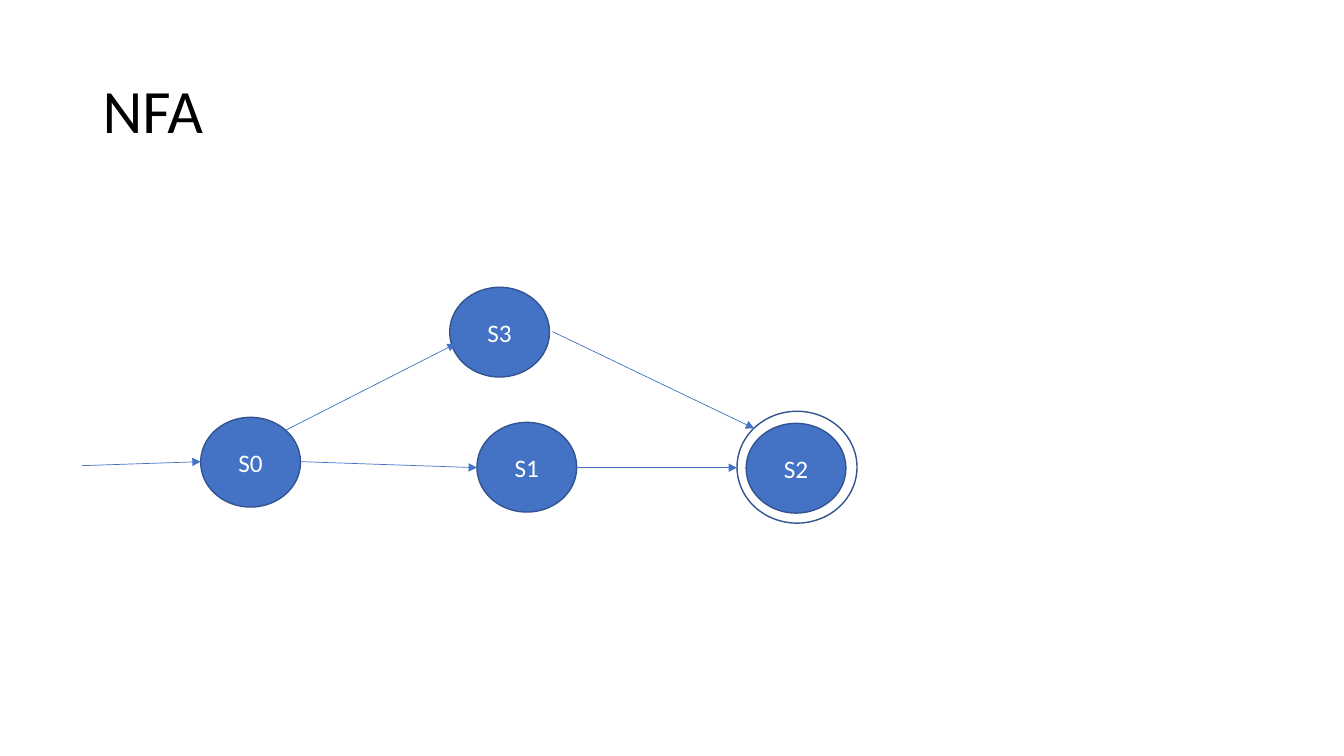
from lxml import etree
from pptx import Presentation
from pptx.dml.color import RGBColor
from pptx.enum.shapes import MSO_CONNECTOR, MSO_SHAPE
from pptx.enum.text import MSO_ANCHOR, PP_ALIGN
from pptx.oxml.ns import qn
from pptx.util import Inches, Pt

OVAL = MSO_SHAPE.OVAL
STRAIGHT = MSO_CONNECTOR.STRAIGHT
MIDDLE = MSO_ANCHOR.MIDDLE
CENTER = PP_ALIGN.CENTER

BLUE = RGBColor(0x44, 0x72, 0xC4)
DARK_BLUE = RGBColor(0x32, 0x54, 0x91)
WHITE = RGBColor(0xFF, 0xFF, 0xFF)
BLACK = RGBColor(0, 0, 0)
FONT = "Calibri"

# Content: states by left and top, transitions by start and end (inches)
TITLE = "NFA"
STATES = {"S0": (1.99, 4.14), "S1": (4.73, 4.19), "S2": (7.4, 4.2), "S3": (4.46, 2.85)}
STATE_SIZE = (0.99, 0.89)
ACCEPTING_RING = (7.31, 4.08, 1.19, 1.11)
TRANSITIONS = [
    ((0.81, 4.62), (1.99, 4.58)),  # start to S0
    ((2.98, 4.58), (4.73, 4.64)),  # S0 to S1
    ((5.71, 4.64), (7.31, 4.64)),  # S1 to S2
    ((5.48, 3.29), (7.48, 4.25)),  # S3 to S2
    ((2.83, 4.27), (4.52, 3.41)),  # S0 to S3
]


def write(shape, text, size, color):
    frame = shape.text_frame
    frame.word_wrap = True
    frame.vertical_anchor = MIDDLE
    para = frame.paragraphs[0]
    para.text = text
    para.font.name = FONT
    para.font.size = Pt(size)
    para.font.color.rgb = color
    return para


def add_ellipse(page, left, top, width, height):
    ellipse = page.shapes.add_shape(OVAL, *map(Inches, (left, top, width, height)))
    ellipse.shadow.inherit = False
    ellipse.line.color.rgb = DARK_BLUE
    ellipse.line.width = Pt(1)
    return ellipse


def add_state(page, name, position):
    state = add_ellipse(page, *position, *STATE_SIZE)
    state.fill.solid()
    state.fill.fore_color.rgb = BLUE
    write(state, name, 18, WHITE).alignment = CENTER


def add_transition(page, start, end):
    arrow = page.shapes.add_connector(STRAIGHT, *map(Inches, start + end))
    arrow.line.color.rgb = BLUE
    arrow.line.width = Pt(0.5)
    etree.SubElement(arrow.line._get_or_add_ln(), qn("a:tailEnd"), type="triangle")
    etree.SubElement(arrow._element.spPr, qn("a:effectLst"))


def main():
    deck = Presentation()
    deck.slide_width = Inches(13.33)
    deck.slide_height = Inches(7.5)
    page = deck.slides.add_slide(deck.slide_layouts[6])

    # Title
    box = page.shapes.add_textbox(*map(Inches, (0.92, 0.4, 11.5, 1.45)))
    write(box, TITLE, 44, BLACK).line_spacing = 0.9

    # States
    add_ellipse(page, *ACCEPTING_RING).fill.background()
    for name, position in STATES.items():
        add_state(page, name, position)

    # Transitions
    for start, end in TRANSITIONS:
        add_transition(page, start, end)

    deck.save("out.pptx")


if __name__ == "__main__":
    main()
